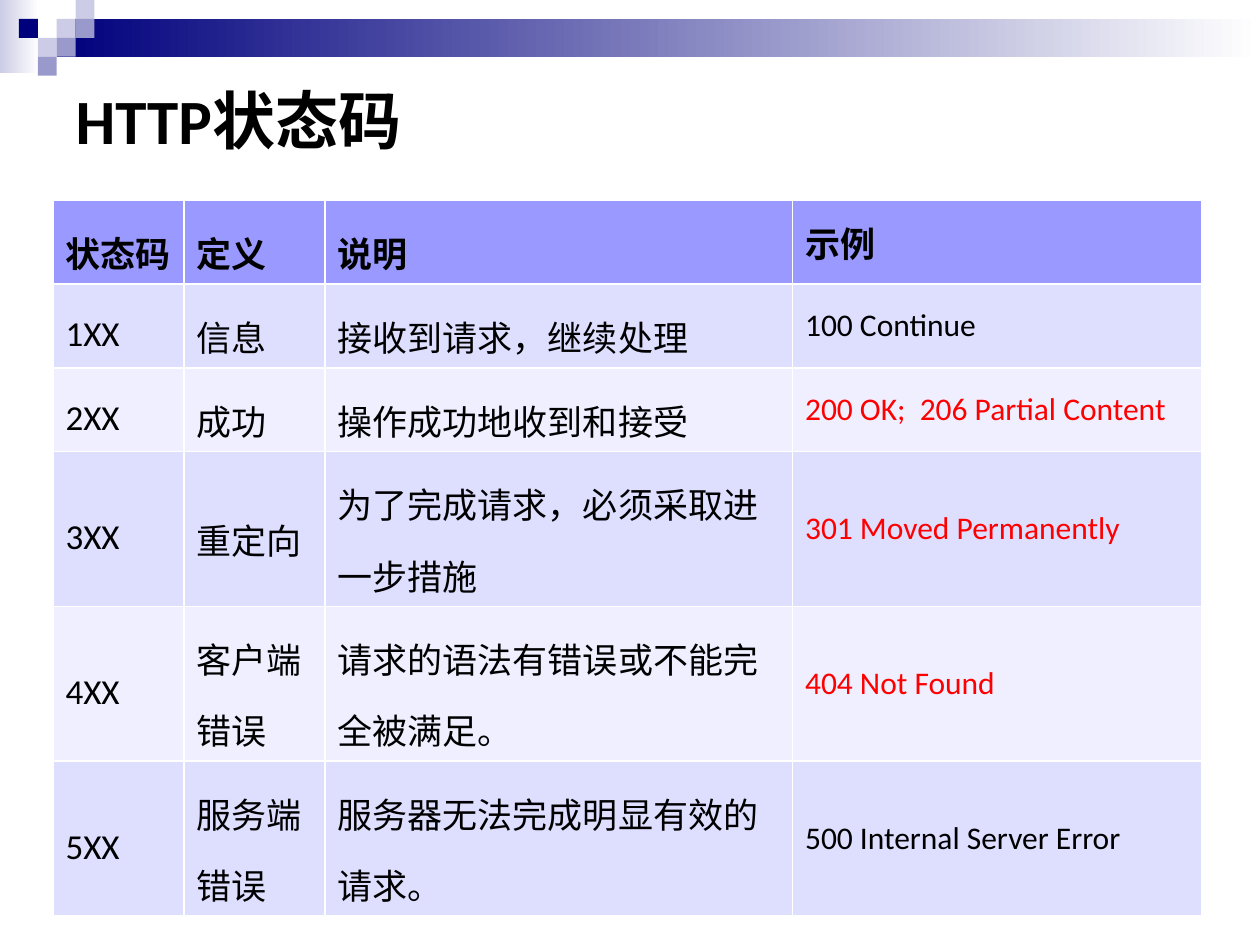
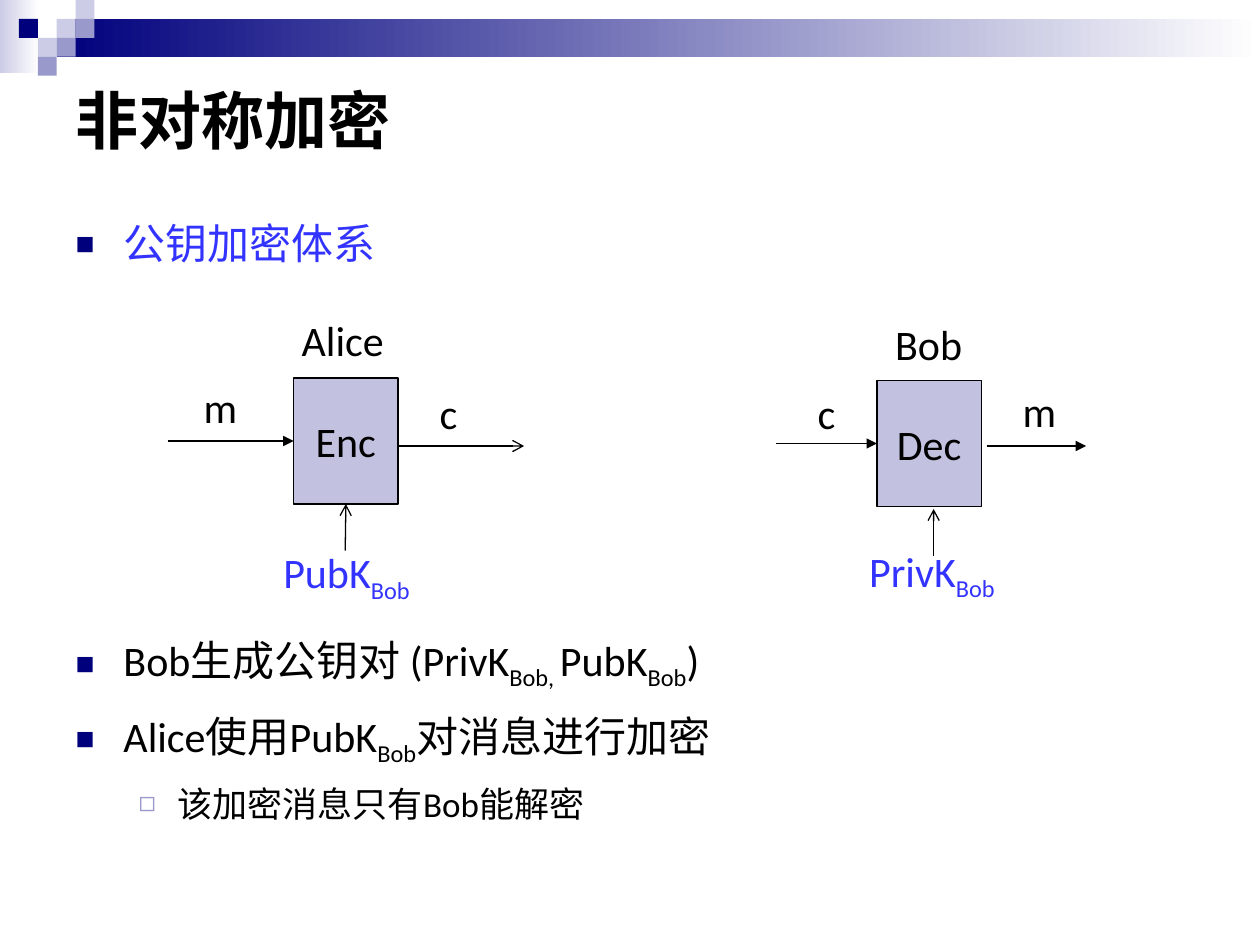
from lxml import etree
from pptx import Presentation
from pptx.dml.color import RGBColor
from pptx.enum.shapes import MSO_CONNECTOR, MSO_SHAPE
from pptx.enum.text import MSO_ANCHOR, MSO_AUTO_SIZE, PP_ALIGN
from pptx.oxml.ns import qn
from pptx.util import Inches, Pt

RECTANGLE = MSO_SHAPE.RECTANGLE
STRAIGHT = MSO_CONNECTOR.STRAIGHT
MIDDLE = MSO_ANCHOR.MIDDLE
LEFT, CENTER = PP_ALIGN.LEFT, PP_ALIGN.CENTER
LEFT_SIDE, BOTTOM_SIDE = 1, 2

FONT = "Calibri"
BLACK = RGBColor(0x00, 0x00, 0x00)
WHITE = RGBColor(0xFF, 0xFF, 0xFF)
RED = RGBColor(0xFF, 0x00, 0x00)
BLUE = RGBColor(0x33, 0x33, 0xFF)
NAVY = RGBColor(0x00, 0x00, 0x7D)
LAVENDER = RGBColor(0xCC, 0xCC, 0xE6)
VIOLET = RGBColor(0x99, 0x99, 0xCC)
BOX_FILL = RGBColor(0xC2, 0xC2, 0xE0)
HEADER_FILL = RGBColor(0x99, 0x99, 0xFF)
ROW_FILLS = (RGBColor(0xDE, 0xDE, 0xFF), RGBColor(0xEF, 0xEF, 0xFF))


def write(paragraph, text, size, color=BLACK, bold=False, align=LEFT):
    """Write text; every second part between bars is a subscript."""
    for index, part in enumerate(text.split("|")):
        if part:
            run = paragraph.add_run()
            run.text = part
            if index % 2:
                run._r.get_or_add_rPr().set("baseline", "-25000")
    paragraph.alignment = align
    font = paragraph.font
    font.name, font.size, font.bold = FONT, Pt(size), bold
    font.color.rgb = color


def add_block(slide, left, top, width, height, *colors):
    """Add a rectangle with a plain fill, or a gradient for two colours."""
    block = slide.shapes.add_shape(
        RECTANGLE, Inches(left), Inches(top), Inches(width), Inches(height))
    block.shadow.inherit = False
    block.line.fill.background()
    if len(colors) == 1:
        block.fill.solid()
        block.fill.fore_color.rgb = colors[0]
    else:
        block.fill.gradient()
        block.fill.gradient_angle = 0
        for stop, color in zip(block.fill.gradient_stops, colors):
            stop.color.rgb = color
    return block


presentation = Presentation()
presentation.slide_width, presentation.slide_height = Inches(10), Inches(7.5)
content_layout, title_layout = (presentation.slide_layouts[i] for i in (1, 5))
status_slide = presentation.slides.add_slide(title_layout)
crypto_slide = presentation.slides.add_slide(content_layout)

# Header band and mosaic, moved to the master that both slides share
TILE = 0.15
MOSAIC = [(3, 1, LAVENDER), (4, 0, LAVENDER), (4, 1, VIOLET), (2, 2, LAVENDER),
          (1, 1, NAVY), (3, 2, VIOLET), (2, 3, VIOLET)]
header = [add_block(status_slide, 0, 0, 0.31, 0.58, LAVENDER, WHITE),
          add_block(status_slide, 3 * TILE, TILE, 9.55, 2 * TILE, NAVY, WHITE)]
for column, row, color in MOSAIC:
    header.append(add_block(status_slide, column * TILE, row * TILE, TILE, TILE, color))
for block in header:
    presentation.slide_master.shapes.element.append(block.element)

# Titles
for slide, text in ((status_slide, "HTTP状态码"), (crypto_slide, "非对称加密")):
    title = slide.shapes.title
    title.left, title.top = Inches(0.5), Inches(0.5)
    title.width, title.height = Inches(9), Inches(0.89)
    title.text_frame.vertical_anchor = MIDDLE
    title.text_frame.auto_size = MSO_AUTO_SIZE.NONE
    write(title.text_frame.paragraphs[0], text, 36, bold=True)

# Status code table: text columns have wide lines, examples have single lines
STATUS_ROWS = [
    ("状态码", "定义", "说明", "示例"),
    ("1XX", "信息", "接收到请求，继续处理", "100 Continue"),
    ("2XX", "成功", "操作成功地收到和接受", "200 OK;  206 Partial Content"),
    ("3XX", "重定向", "为了完成请求，必须采取进一步措施", "301 Moved Permanently"),
    ("4XX", "客户端错误", "请求的语法有错误或不能完全被满足。", "404 Not Found"),
    ("5XX", "服务端错误", "服务器无法完成明显有效的请求。", "500 Internal Server Error"),
]
COLUMN_WIDTHS = (1.04, 1.12, 3.71, 3.25)
EXAMPLE_COLUMN = 3
RED_ROWS = (2, 3, 4)
ROW_HEIGHT = 0.41
table = status_slide.shapes.add_table(
    len(STATUS_ROWS), len(COLUMN_WIDTHS), Inches(0.42), Inches(1.59),
    Inches(sum(COLUMN_WIDTHS)), Inches(ROW_HEIGHT * len(STATUS_ROWS))).table
for column, width in zip(table.columns, COLUMN_WIDTHS):
    column.width = Inches(width)
for row, texts in enumerate(STATUS_ROWS):
    for column, text in enumerate(texts):
        cell = table.cell(row, column)
        cell.vertical_anchor = MIDDLE
        cell.fill.solid()
        cell.fill.fore_color.rgb = ROW_FILLS[(row - 1) % 2] if row else HEADER_FILL
        is_example = column == EXAMPLE_COLUMN
        paragraph = cell.text_frame.paragraphs[0]
        if not is_example:
            paragraph.line_spacing = 1.4
        write(paragraph, text, 18 if row and is_example else 20,
              RED if is_example and row in RED_ROWS else BLACK, bold=row == 0)

# Bullet list, with room for the diagram after the first item
BULLETS = [  # text, level, space before, colour
    ("公钥加密体系", 0, 2.4, BLUE),
    ("Bob生成公钥对 (PrivK|Bob, |PubK|Bob|)", 0, 201, BLACK),
    ("Alice使用PubK|Bob|对消息进行加密", 0, 2.4, BLACK),
    ("该加密消息只有Bob能解密", 1, 2.4, BLACK),
]
LEVELS = [  # size, left margin, indent, mark, mark colour, mark percent
    (24, 0.38, -0.38, "■", NAVY, 75),
    (20, 0.81, -0.31, "◻", VIOLET, 80),
]
body = crypto_slide.placeholders[1]
body.left, body.top = Inches(0.5), Inches(1.58)
body.width, body.height = Inches(9), Inches(5.51)
body.text_frame.auto_size = MSO_AUTO_SIZE.NONE
for index, (text, level, space_before, color) in enumerate(BULLETS):
    size, margin, indent, mark, mark_color, percent = LEVELS[level]
    frame = body.text_frame
    paragraph = frame.add_paragraph() if index else frame.paragraphs[0]
    paragraph.level = level
    paragraph.line_spacing = 1.25
    paragraph.space_before = Pt(space_before)
    properties = paragraph._p.get_or_add_pPr()
    properties.set("marL", str(Inches(margin)))
    properties.set("indent", str(Inches(indent)))
    bullet_color = etree.SubElement(properties, qn("a:buClr"))
    etree.SubElement(bullet_color, qn("a:srgbClr"), val=str(mark_color))
    etree.SubElement(properties, qn("a:buSzPct"), val=str(percent * 1000))
    etree.SubElement(properties, qn("a:buChar"), char=mark)
    write(paragraph, text, size, color)

# Encryption and decryption boxes
boxes = {}
for name, left, top in (("Enc", 2.33, 3), ("Dec", 6.96, 3.02)):
    box = add_block(crypto_slide, left, top, 0.83, 1, BOX_FILL)
    box.line.color.rgb = BLACK
    box.line.width = Pt(0.75)
    box.text_frame.word_wrap = False
    box.text_frame.vertical_anchor = MIDDLE
    write(box.text_frame.paragraphs[0], name, 24, align=CENTER)
    boxes[name] = box

# Names, messages and keys
LABELS = [  # text, left, top, width, colour, alignment
    ("Alice", 2.28, 2.45, 0.88, BLACK, CENTER),
    ("m", 1.51, 2.98, 0.48, BLACK, CENTER),
    ("c", 3.39, 3.03, 0.34, BLACK, CENTER),
    ("PubK|Bob", 2.15, 4.29, 1.26, BLUE, LEFT),
    ("Bob", 6.99, 2.48, 0.76, BLACK, CENTER),
    ("c", 6.39, 3.03, 0.34, BLACK, CENTER),
    ("m", 8.01, 3.01, 0.48, BLACK, CENTER),
    ("PrivK|Bob", 6.8, 4.28, 1.26, BLUE, LEFT),
]
for text, left, top, width, color, align in LABELS:
    label = crypto_slide.shapes.add_textbox(
        Inches(left), Inches(top), Inches(width), Inches(0.5))
    label.text_frame.word_wrap = False
    write(label.text_frame.paragraphs[0], text, 24, color, align=align)

# Arrows, joined to a box where they end at the middle of its side
ARROWS = [  # start, end, head, box and side
    ((1.33, 3.5), (2.33, 3.5), "triangle", ("Enc", LEFT_SIDE)),
    ((2.74, 4.37), (2.74, 4), "arrow", ("Enc", BOTTOM_SIDE)),
    ((3.16, 3.54), (4.16, 3.54), "arrow", None),
    ((6.16, 3.52), (6.96, 3.52), "triangle", ("Dec", LEFT_SIDE)),
    ((7.41, 4.41), (7.41, 4.04), "arrow", None),
    ((7.83, 3.54), (8.62, 3.54), "triangle", None),
]
for start, end, head, joint in ARROWS:
    arrow = crypto_slide.shapes.add_connector(
        STRAIGHT, *(Inches(length) for length in start + end))
    if joint:
        arrow.end_connect(boxes[joint[0]], joint[1])
    arrow.line.color.rgb = BLACK
    arrow.line.width = Pt(0.75)
    arrow_properties = arrow.element.spPr
    etree.SubElement(arrow_properties.find(qn("a:ln")), qn("a:tailEnd"), type=head)
    etree.SubElement(arrow_properties, qn("a:effectLst"))

presentation.save("out.pptx")
